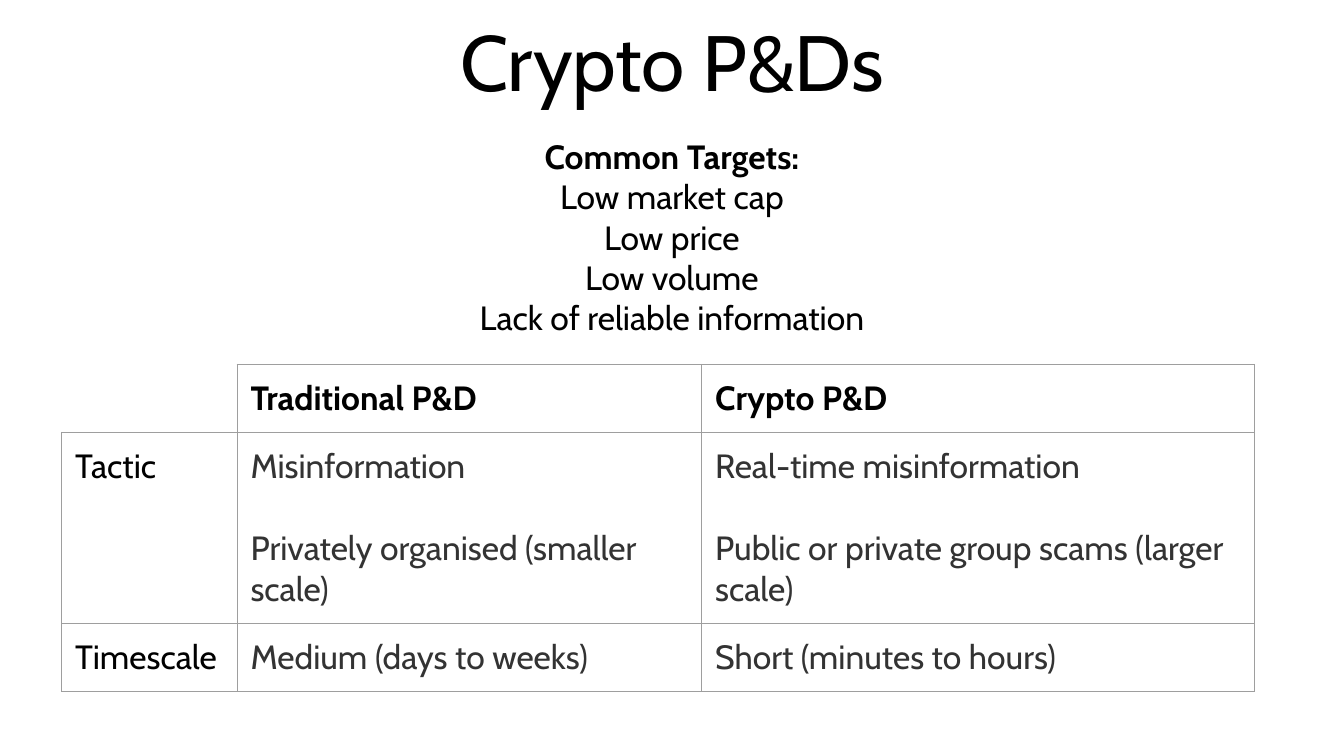
"""Build the slide that compares traditional and crypto P&Ds."""
from dataclasses import dataclass

from lxml.etree import SubElement as Sub
from pptx import Presentation as Deck
from pptx.dml.color import RGBColor as Rgb
from pptx.enum.text import MSO_ANCHOR as Anchor, PP_ALIGN as Align
from pptx.oxml.ns import qn
from pptx.util import Inches, Pt

WIDE = Inches(10)
HIGH = WIDE * 9 // 16
PAD = Inches(0.1)
COLORS = {"ink": "000000", "soft": "333333", "rule": "9E9E9E"}
COLS = (13.05, 34.57, 41.15)
ROWS = (9, 25.28, 9)
SIDES = "LRTB"
FRAME = {f"margin_{side}": PAD for side in ("left", "right", "top", "bottom")}


@dataclass
class Line:
    text: str
    size: float = 18
    bold: bool = False
    color: str = "ink"
    gap: float = 0


@dataclass
class Block:
    top: float
    tall: float
    lines: list[Line]


BLOCKS = [
    Block(0, 14.2, [Line("Crypto P&Ds", 42)]),
    Block(16.2, 82.3, [
        Line("Common Targets:", bold=True),
        *map(Line, ("Low market cap", "Low price", "Low volume",
                    "Lack of reliable information")),
    ]),
]
GRID = [
    [[], ["Traditional P&D"], ["Crypto P&D"]],
    [["Tactic"],
     ["Misinformation", "Privately organised (smaller scale)"],
     ["Real-time misinformation",
      "Public or private group scams (larger scale)"]],
    [["Timescale"], ["Medium (days to weeks)"], ["Short (minutes to hours)"]],
]


def part(share: float, whole: int) -> int:
    return round(share * whole / 100)


def apply(item, values: dict) -> None:
    for name, value in values.items():
        setattr(item, name, value)


def write(frame, lines: list[Line], align: Align) -> None:
    for i, line in enumerate(lines):
        para = frame.add_paragraph() if i else frame.paragraphs[0]
        para.alignment = align
        if line.gap:
            para.space_before = Pt(line.gap)
        run = para.add_run()
        run.text = line.text
        apply(run.font, {"name": "Cabin", "size": Pt(line.size),
                         "bold": line.bold})
        run.font.color.rgb = Rgb.from_string(COLORS[line.color])


def draw_block(slide, block: Block) -> None:
    box = slide.shapes.add_textbox(
        0, part(block.top, HIGH), WIDE, part(block.tall, HIGH))
    frame = box.text_frame
    apply(frame, FRAME | {"word_wrap": True, "vertical_anchor": Anchor.TOP})
    write(frame, block.lines, Align.CENTER)


def rule_cell(cell, shown: str) -> None:
    cell.fill.background()
    props = cell._tc.get_or_add_tcPr()
    for i, side in enumerate(SIDES):
        edge = Sub(props, qn(f"a:ln{side}"), w=str(Pt(0.75)))
        props.insert(i, edge)
        if side in shown:
            fill = Sub(edge, qn("a:solidFill"))
            Sub(fill, qn("a:srgbClr"), val=COLORS["rule"])
        else:
            Sub(edge, qn("a:noFill"))


def draw_table(slide) -> None:
    table = slide.shapes.add_table(
        len(ROWS), len(COLS), part(4.6, WIDE), part(48.2, HIGH),
        part(sum(COLS), WIDE), part(sum(ROWS), HIGH)).table
    apply(table, {"first_row": False, "horz_banding": False})
    for col, share in zip(table.columns, COLS):
        col.width = part(share, WIDE)
    for row, share in zip(table.rows, ROWS):
        row.height = part(share, HIGH)
    for r, row in enumerate(GRID):
        for c, texts in enumerate(row):
            cell = table.cell(r, c)
            apply(cell, FRAME)
            rule_cell(cell, SIDES if texts else "RB")
            color = "soft" if r and c else "ink"
            lines = [Line(text, bold=r == 0, color=color, gap=22 if i else 0)
                     for i, text in enumerate(texts)]
            write(cell.text_frame, lines, Align.LEFT)


def main() -> None:
    deck = Deck()
    apply(deck, {"slide_width": WIDE, "slide_height": HIGH})
    slide = deck.slides.add_slide(deck.slide_layouts[6])
    for block in BLOCKS:
        draw_block(slide, block)
    draw_table(slide)
    deck.save("out.pptx")


if __name__ == "__main__":
    main()
